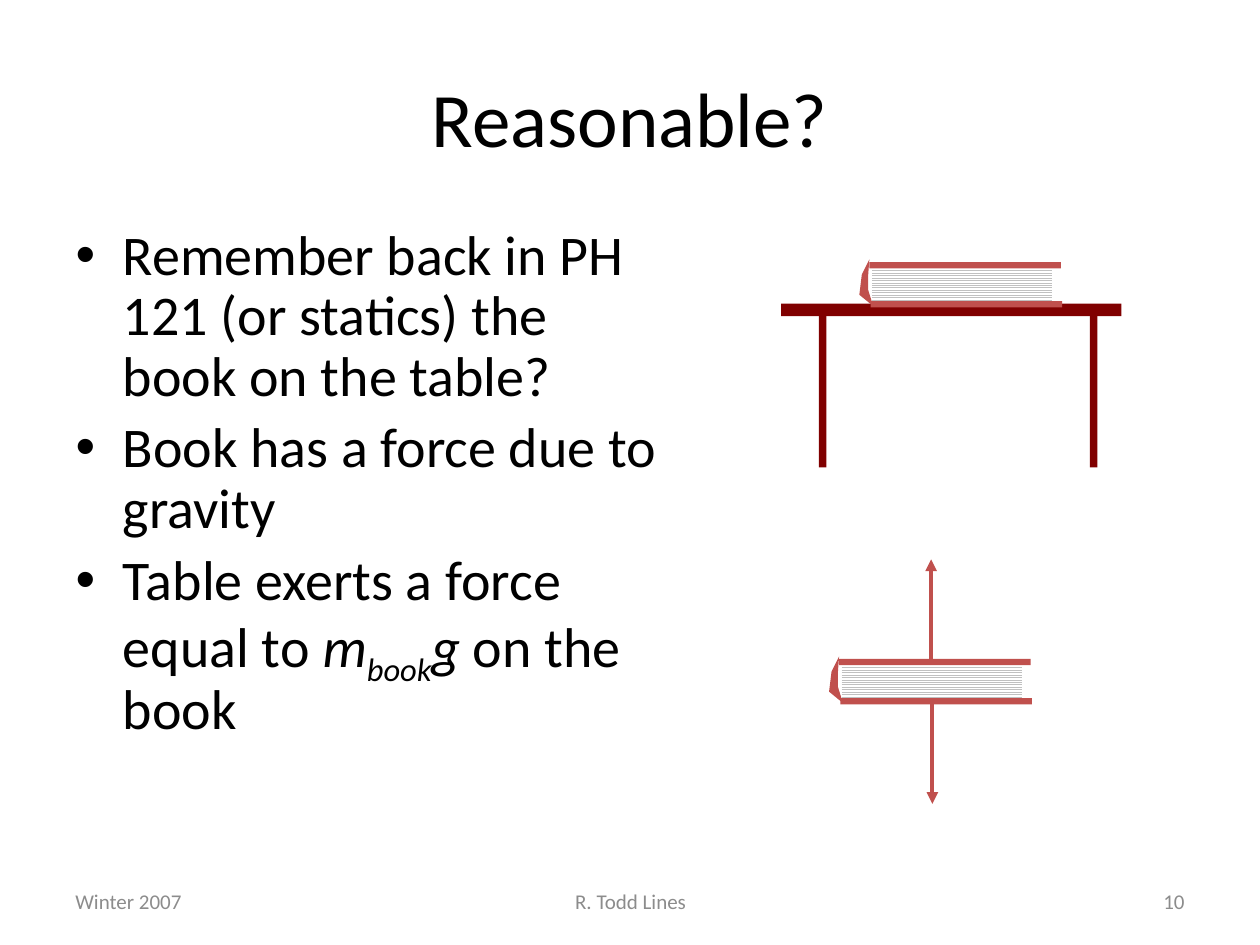
from lxml.etree import SubElement
from pptx import Presentation
from pptx.dml.color import RGBColor
from pptx.enum.dml import MSO_PATTERN
from pptx.enum.shapes import MSO_CONNECTOR, MSO_SHAPE
from pptx.enum.text import MSO_ANCHOR, MSO_AUTO_SIZE, PP_ALIGN
from pptx.oxml.ns import qn
from pptx.util import Inches, Pt

COLORS = {
    "text": "000000",
    "footer": "8C8C8C",
    "table": "800000",
    "cover": "C0504D",
    "page_line": "C0C0C0",
    "page": "FFFFFF",
}
COLORS = {name: RGBColor.from_string(value) for name, value in COLORS.items()}
FONT = "Calibri"


def add_bar(group, left, top, width, height, color):
    shape = group.shapes.add_shape(
        MSO_SHAPE.RECTANGLE, Inches(left), Inches(top), Inches(width), Inches(height)
    )
    shape.shadow.inherit = False
    shape.line.fill.background()
    shape.fill.solid()
    shape.fill.fore_color.rgb = COLORS[color]
    return shape


def add_book(group, left, top):
    pages = add_bar(group, left + 0.1, top + 0.07, 1.43, 0.27, "page")
    pages.fill.patterned()
    pages.fill.pattern = MSO_PATTERN.LIGHT_HORIZONTAL
    pages.fill.fore_color.rgb = COLORS["page_line"]
    pages.fill.back_color.rgb = COLORS["page"]
    add_bar(group, left + 0.08, top + 0.02, 1.52, 0.05, "cover")
    add_bar(group, left + 0.09, top + 0.33, 1.52, 0.05, "cover")
    outline = [(0.08, 0), (0.02, 0.12), (0, 0.28), (0.11, 0.37), (0.07, 0.24), (0.07, 0.13)]
    points = [(Inches(left + x), Inches(top + y)) for x, y in outline]
    builder = group.shapes.build_freeform(*points[0])
    builder.add_line_segments(points[1:], close=True)
    spine = builder.convert_to_shape()
    spine.shadow.inherit = False
    spine.line.fill.background()
    spine.fill.solid()
    spine.fill.fore_color.rgb = COLORS["cover"]


presentation = Presentation()
presentation.slide_width = Inches(10)
presentation.slide_height = Inches(7.5)
slide = presentation.slides.add_slide(presentation.slide_layouts[1])

footers = [
    (0.5, 2.33, "Winter 2007", PP_ALIGN.LEFT),
    (3.42, 3.17, "R. Todd Lines", PP_ALIGN.CENTER),
    (7.17, 2.33, "10", PP_ALIGN.RIGHT),
]
for left, width, text, alignment in footers:
    footer = slide.shapes.add_textbox(Inches(left), Inches(6.95), Inches(width), Inches(0.4))
    footer.text_frame.word_wrap = True
    footer.text_frame.vertical_anchor = MSO_ANCHOR.MIDDLE
    footer.text_frame.text = text
    paragraph = footer.text_frame.paragraphs[0]
    paragraph.alignment = alignment
    paragraph.runs[0].font.name = FONT
    paragraph.runs[0].font.size = Pt(12)
    paragraph.runs[0].font.color.rgb = COLORS["footer"]

title = slide.shapes.title
title.left, title.top, title.width, title.height = Inches(0.5), Inches(0.3), Inches(9), Inches(1.25)
title.text_frame.text = "Reasonable?"
title.text_frame.vertical_anchor = MSO_ANCHOR.MIDDLE
title.text_frame.paragraphs[0].alignment = PP_ALIGN.CENTER
title_font = title.text_frame.paragraphs[0].runs[0].font
title_font.name = FONT
title_font.size = Pt(44)
title_font.color.rgb = COLORS["text"]

body = slide.placeholders[1]
body.left, body.top, body.width, body.height = Inches(0.5), Inches(1.75), Inches(4.89), Inches(4.95)
body.text_frame.auto_size = MSO_AUTO_SIZE.NONE
bullets = [
    [("Remember back in PH 121 (or statics) the book on the table?", "plain")],
    [("Book has a force due to gravity", "plain")],
    [
        ("Table exerts a force equal to ", "plain"),
        ("m", "italic"),
        ("book", "subscript"),
        ("g", "italic"),
        (" on the book", "plain"),
    ],
]
for index, pieces in enumerate(bullets):
    paragraph = body.text_frame.paragraphs[0] if index == 0 else body.text_frame.add_paragraph()
    paragraph.line_spacing = 0.9
    paragraph.space_before = Pt(6.4 if index else 0)
    for text, style in pieces:
        run = paragraph.add_run()
        run.text = text
        run.font.name = FONT
        run.font.size = Pt(32)
        run.font.color.rgb = COLORS["text"]
        run.font.italic = style != "plain"
        if style == "subscript":
            run._r.get_or_add_rPr().set("baseline", "-25000")

table_scene = slide.shapes.add_group_shape()
add_bar(table_scene, 6.2, 2.41, 2.7, 0.1, "table")
for leg_left in (6.5, 8.65):
    add_bar(table_scene, leg_left, 2.49, 0.06, 1.22, "table")
add_book(table_scene, 6.82, 2.06)

force_diagram = slide.shapes.add_group_shape()
add_book(force_diagram, 6.58, 5.21)
for x, start, end in [(7.4, 5.57, 6.38), (7.39, 5.25, 4.44)]:
    arrow = force_diagram.shapes.add_connector(
        MSO_CONNECTOR.STRAIGHT, Inches(x), Inches(start), Inches(x), Inches(end)
    )
    arrow.line.color.rgb = COLORS["cover"]
    arrow.line.width = Pt(2.25)
    SubElement(arrow.line._get_or_add_ln(), qn("a:tailEnd"), type="triangle")
    SubElement(arrow._element.spPr, qn("a:effectLst"))

presentation.save("out.pptx")
